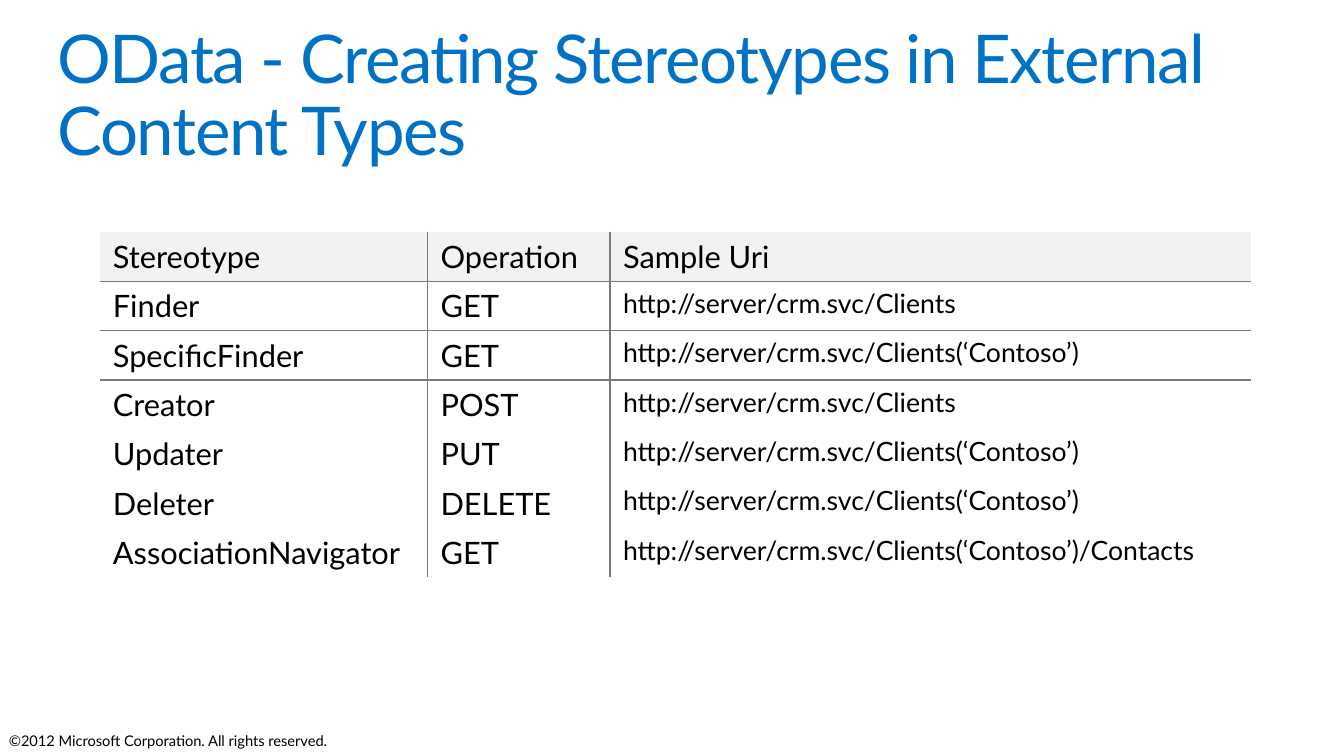
import lxml.etree
import pptx
import pptx.dml.color
import pptx.enum.text
import pptx.oxml.ns
import pptx.util

Inches = pptx.util.Inches
Pt = pptx.util.Pt
RGBColor = pptx.dml.color.RGBColor
qn = pptx.oxml.ns.qn

FONT = "Lato"
BLUE = RGBColor(0x00, 0x72, 0xC6)
BLACK = RGBColor(0x00, 0x00, 0x00)
HEADER_FILL = RGBColor(0xF2, 0xF2, 0xF2)
RULE_COLOR = RGBColor(0x79, 0x7A, 0x7D)
NO_GRID_STYLE = "{2D5ABB26-0587-4C30-8999-92F81FD0307C}"

COLUMN_WIDTHS = (3.25, 1.81, 6.36)
ROW_HEIGHT = 0.49
RULED_ROWS = 2  # rows with a line beneath them
ROWS = (
    ("Stereotype", "Operation", "Sample Uri"),
    ("Finder", "GET", "http://server/crm.svc/Clients"),
    ("SpecificFinder", "GET", "http://server/crm.svc/Clients(‘Contoso’)"),
    ("Creator", "POST", "http://server/crm.svc/Clients"),
    ("Updater", "PUT", "http://server/crm.svc/Clients(‘Contoso’)"),
    ("Deleter", "DELETE", "http://server/crm.svc/Clients(‘Contoso’)"),
    ("AssociationNavigator", "GET",
     "http://server/crm.svc/Clients(‘Contoso’)/Contacts"),
)


def style_paragraph(para, size, color):
    para.font.name = FONT
    para.font.size = Pt(size)
    para.font.color.rgb = color


def place(box, left, top, width, height):
    box.left, box.top = Inches(left), Inches(top)
    box.width, box.height = Inches(width), Inches(height)


def add_title(page, text):
    title = page.shapes.title
    place(title, 0.57, 0.25, 12.19, 0.82)
    frame = title.text_frame
    frame.word_wrap = True
    frame.auto_size = pptx.enum.text.MSO_AUTO_SIZE.NONE
    frame.vertical_anchor = pptx.enum.text.MSO_ANCHOR.TOP
    frame.margin_left = frame.margin_right = 0
    frame.margin_top = frame.margin_bottom = 0
    para = frame.paragraphs[0]
    span = para.add_run()
    span.text = text
    span.font._element.set("spc", "-100")
    para.alignment = pptx.enum.text.PP_ALIGN.LEFT
    para.line_spacing = 0.9
    style_paragraph(para, 48, BLUE)


def add_border(cell, side):
    properties = cell._tc.get_or_add_tcPr()
    line = lxml.etree.SubElement(properties, qn(f"a:ln{side}"), w=str(Pt(1)))
    fill = lxml.etree.SubElement(line, qn("a:solidFill"))
    lxml.etree.SubElement(fill, qn("a:srgbClr"), val=str(RULE_COLOR))


def border_sides(row, column):
    """Sides in the order the file format needs: left, right, top, bottom."""
    sides = {
        "L": column > 0,
        "R": column < len(COLUMN_WIDTHS) - 1,
        "T": 0 < row <= RULED_ROWS,
        "B": row < RULED_ROWS,
    }
    return [side for side, shown in sides.items() if shown]


def fill_cell(cell, text, row, column):
    cell.margin_left = cell.margin_right = Inches(0.13)
    cell.margin_top = cell.margin_bottom = Inches(0.06)
    for side in border_sides(row, column):
        add_border(cell, side)
    if row == 0:
        cell.fill.solid()
        cell.fill.fore_color.rgb = HEADER_FILL
    else:
        cell.fill.background()
    cell.text = text
    is_uri = row > 0 and column == 2
    style_paragraph(cell.text_frame.paragraphs[0], 19 if is_uri else 22, BLACK)


def add_stereotype_table(page):
    frame = page.shapes.add_table(
        len(ROWS), len(COLUMN_WIDTHS), Inches(0.99), Inches(2.3),
        Inches(sum(COLUMN_WIDTHS)), Inches(ROW_HEIGHT * len(ROWS)))
    table = frame.table
    table.first_row = True
    table.horz_banding = False
    table._tbl.tblPr.find(qn("a:tableStyleId")).text = NO_GRID_STYLE
    for column, width in zip(table.columns, COLUMN_WIDTHS):
        column.width = Inches(width)
    for row, texts in enumerate(ROWS):
        table.rows[row].height = Inches(ROW_HEIGHT)
        for column, text in enumerate(texts):
            fill_cell(table.cell(row, column), text, row, column)


def add_copyright(page, text):
    box = page.shapes.add_textbox(
        Inches(-0.01), Inches(7.21), Inches(13.34), Inches(0.28))
    box.text_frame.word_wrap = True
    para = box.text_frame.paragraphs[0]
    para.text = text
    style_paragraph(para, 10.5, BLACK)


def main():
    deck = pptx.Presentation()
    deck.slide_width, deck.slide_height = Inches(13.33), Inches(7.5)
    page = deck.slides.add_slide(deck.slide_layouts[5])

    # Title, table and footer line
    add_title(page, "OData - Creating Stereotypes in External Content Types")
    add_stereotype_table(page)
    add_copyright(page, "©2012 Microsoft Corporation. All rights reserved.")

    deck.save("out.pptx")


if __name__ == "__main__":
    main()
